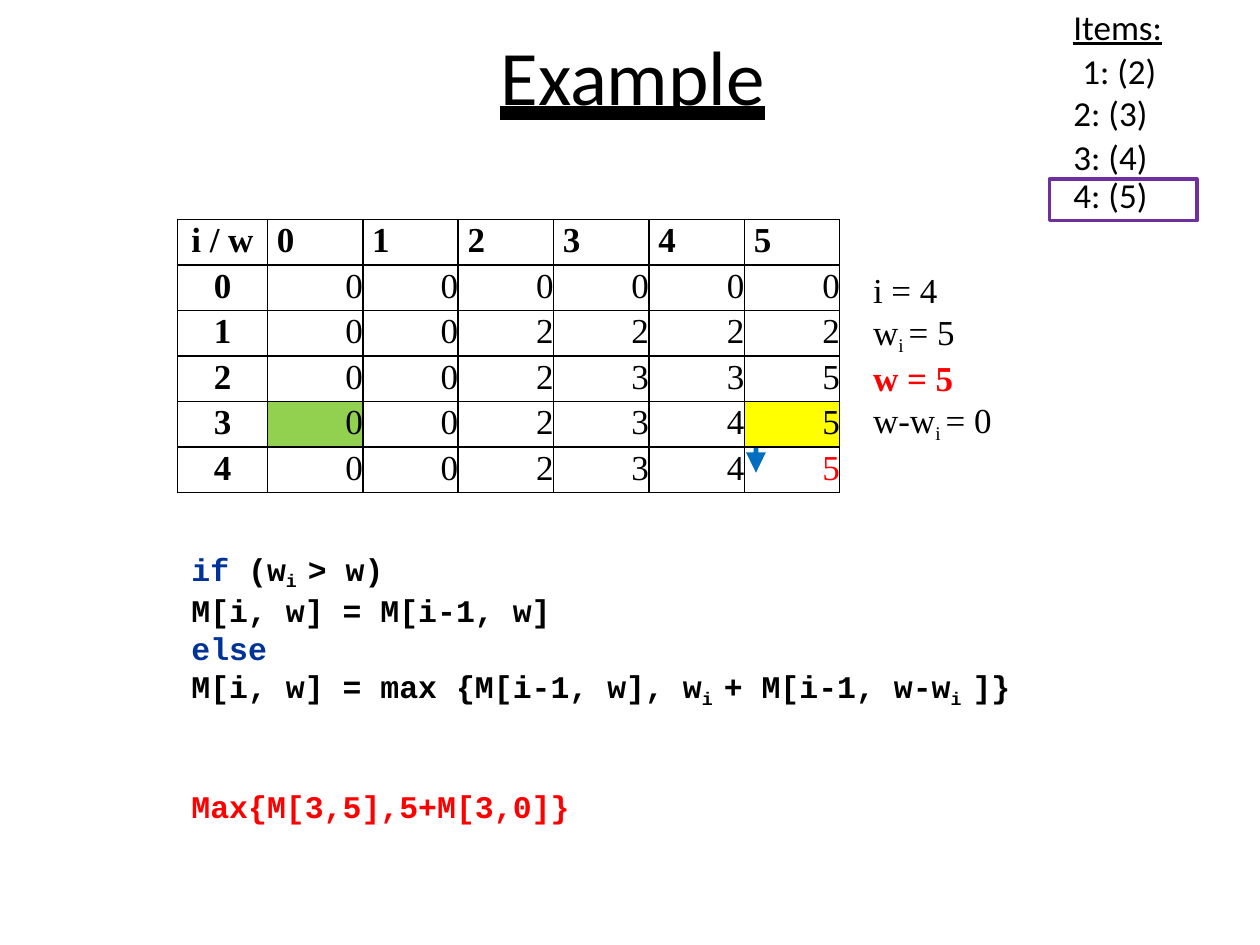
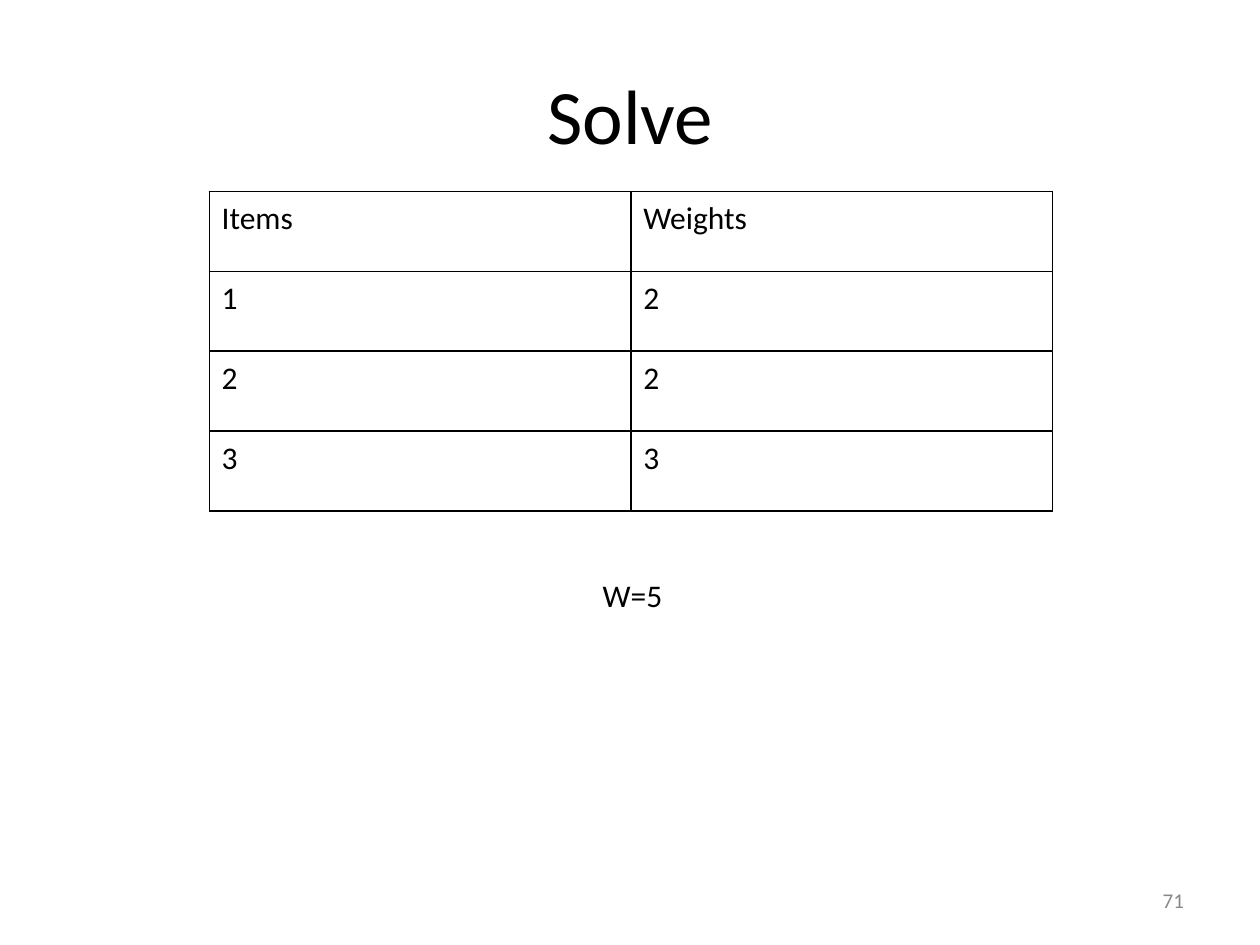
from lxml import etree
from pptx import Presentation
from pptx import util as u
from pptx.dml.color import RGBColor
from pptx.enum import shapes, text
from pptx.oxml.ns import qn

BLACK, RED, KEYWORD = "000000", "FF0000", "003399"
BLUE, PURPLE, GREY = "006FC0", "6F2F9F", "888888"
GREEN, YELLOW = "92D050", "FFFF00"
SANS, SERIF, MONO = "Calibri", "Times New Roman", "Courier New"
TITLE = dict(name=SANS, size=u.Pt(44))
ITEM = dict(name=SANS, size=u.Pt(20))
NOTE = dict(name=SERIF, size=u.Pt(20))
CODE = dict(name=MONO, size=u.Pt(18), bold=True)
BODY = dict(name=SANS, size=u.Pt(18))
CENTER, RIGHT = text.PP_ALIGN.CENTER, text.PP_ALIGN.RIGHT


def rgb(value):
    return RGBColor.from_string(value)


def add_run(p, words, base, color=BLACK, sub=False, **extra):
    r = p.add_run()
    r.text = words
    for name, value in {**base, **extra}.items():
        setattr(r.font, name, value)
    r.font.color.rgb = rgb(color)
    if sub:
        r._r.get_or_add_rPr().set("baseline", "-21000")


def write(tf, paragraphs, base, left=0.0, top=0.06):
    margins = dict(margin_left=left, margin_top=top, margin_right=0, margin_bottom=0)
    for name, value in margins.items():
        setattr(tf, name, u.Cm(value))
    tf.word_wrap = True
    tf.vertical_anchor = text.MSO_ANCHOR.TOP
    for i, (runs, layout) in enumerate(paragraphs):
        p = tf.paragraphs[0] if i == 0 else tf.add_paragraph()
        for name, value in layout.items():
            setattr(p, name, value)
        for words, extra in runs:
            add_run(p, words, base, **extra)


def line(*runs, **layout):
    return [(r, {}) if isinstance(r, str) else r for r in runs], layout


def add_text(s, box, paragraphs, base, left=0.0, top=0.06):
    tb = s.shapes.add_textbox(*map(u.Cm, box))
    write(tb.text_frame, paragraphs, base, left, top)
    return tb


def add_title(s, box, words, left, **extra):
    add_text(s, box, [line((words, extra))], TITLE, left)


def add_borders(cell):
    tc_pr = cell._tc.get_or_add_tcPr()
    for side in ("lnL", "lnR", "lnT", "lnB"):
        ln = etree.SubElement(tc_pr, qn("a:" + side), w=str(u.Pt(1)))
        fill = etree.SubElement(ln, qn("a:solidFill"))
        etree.SubElement(fill, qn("a:srgbClr"), val=BLACK)


def add_grid(s, box, widths, rows, fill_cell):
    tbl = s.shapes.add_table(len(rows), len(widths), *map(u.Cm, box)).table
    for col, width in zip(tbl.columns, widths):
        col.width = u.Cm(width)
    for i, values in enumerate(rows):
        tbl.rows[i].height = u.Cm(box[3] / len(rows))
        for j, value in enumerate(values):
            cell = tbl.cell(i, j)
            add_borders(cell)
            cell.fill.background()
            fill_cell(cell, i, j, value)


def add_weight_table(s, box):
    rows = ["012345", "000000", "002222", "002335", "002345", "002345"]
    heads = ["i / w", *"01234"]
    fills = {(4, 1): GREEN, (4, 6): YELLOW}

    def fill_cell(cell, i, j, value):
        head = i == 0 or j == 0
        layout = dict(line_spacing=u.Pt(23.4))
        if j == 0:
            layout["alignment"] = CENTER
        elif i > 0:
            layout["alignment"] = RIGHT
        color = RED if (i, j) == (5, 6) else BLACK
        run = (value, dict(bold=head, color=color))
        write_cell(cell, line(run, **layout), NOTE, 0.19 if i == 0 and j else 0, 0)
        if (i, j) in fills:
            cell.fill.solid()
            cell.fill.fore_color.rgb = rgb(fills[i, j])

    first = 1.81
    widths = [first] + [(box[2] - first) / 6] * 6
    add_grid(s, box, widths, [[h, *r] for h, r in zip(heads, rows)], fill_cell)


def write_cell(cell, paragraph, base, left, top):
    for side in ("left", "top", "right", "bottom"):
        setattr(cell, "margin_" + side, 0)
    runs, layout = paragraph
    cell.margin_left, cell.margin_top = u.Cm(left), u.Cm(top)
    p = cell.text_frame.paragraphs[0]
    for name, value in layout.items():
        setattr(p, name, value)
    for words, extra in runs:
        add_run(p, words, base, **extra)


def add_down_arrow(s, x, y):
    start, *rest = [(17, 0), (25, 0), (25, 43), (40, 43), (20, 84), (0, 43), (15, 43)]
    fb = s.shapes.build_freeform(*start, scale=u.Cm(0.01))
    fb.add_line_segments(rest, close=True)
    sp = fb.convert_to_shape(u.Cm(x), u.Cm(y))
    sp.shadow.inherit = False
    sp.fill.solid()
    sp.fill.fore_color.rgb = rgb(BLUE)
    sp.line.fill.background()


def add_items(s, x, y):
    fixed = dict(line_spacing=u.Pt(25.2))
    under = ("Items:", dict(underline=True))
    tb = add_text(s, (x + 0.45, y, 1.9, 3.58), [
        line(under, **fixed),
        line("1: (2)", **fixed),
        line("2: (3)"),
        line("3: (4)", space_before=u.Pt(1.2)),
    ], ITEM, 0.03)
    tb.text_frame.paragraphs[1]._p.get_or_add_pPr().set("marL", str(u.Cm(0.18)))
    sp = s.shapes.add_shape(shapes.MSO_SHAPE.RECTANGLE,
                            *map(u.Cm, (x, y + 3.61, 2.97, 0.84)))
    sp.shadow.inherit = False
    sp.fill.background()
    sp.line.color.rgb = rgb(PURPLE)
    sp.line.width = u.Pt(2)
    current = line("4: (5)", line_spacing=u.Pt(20.8), alignment=text.PP_ALIGN.LEFT)
    write(sp.text_frame, [current], ITEM, 0.48, 0)


def add_state(s, box):
    sub_i = ("i ", dict(sub=True, size=u.Pt(19)))
    add_text(s, box, [
        line("i = 4"),
        line("w", sub_i, "= 5"),
        line(("w = 5", dict(color=RED, bold=True))),
        line("w-w", sub_i, "= 0"),
    ], NOTE, 0.1)


def add_code(s, box):
    sub_i = ("i ", dict(sub=True))
    keyword = dict(color=KEYWORD)
    add_text(s, box, [
        line(("if ", keyword), "(w", sub_i, "> w)"),
        line("M[i, w] = M[i-1, w]"),
        line(("else", keyword)),
        line("M[i, w] = max {M[i-1, w], w", sub_i, "+ M[i-1, w-w", sub_i, "]}"),
        line(("Max{M[3,5],5+M[3,0]}", dict(color=RED)), space_before=u.Pt(45)),
    ], CODE, 0.15)


def add_exercise_table(s, box):
    def fill_cell(cell, i, j, value):
        write_cell(cell, line(value), BODY, 0.25, 0.17)

    rows = [("Items", "Weights"), ("1", "2"), ("2", "2"), ("3", "3")]
    add_grid(s, box, [box[2] / 2] * 2, rows, fill_cell)


def example_slide(s):
    add_title(s, (9.96, 0.51, 5.6, 1.93), "Example", 0.13,
              underline=text.MSO_TEXT_UNDERLINE_TYPE.HEAVY_LINE)
    add_state(s, (17.5, 5.36, 2.8, 3.45))
    add_down_arrow(s, 15.04, 8.69)
    add_weight_table(s, (3.58, 4.42, 13.35, 5.51))
    add_items(s, 21.16, 0)
    add_code(s, (3.71, 11.02, 20.27, 5.41))


def solve_slide(s):
    number = line(("71", dict(size=u.Pt(12), color=GREY)), line_spacing=u.Pt(12.4))
    add_text(s, (23.34, 17.96, 0.64, 0.48), [number], BODY, 0.1, 0)
    add_title(s, (11, 1.3, 3.7, 1.93), "Solve", 0.03)
    add_exercise_table(s, (4.22, 3.86, 17, 6.44))
    add_text(s, (12.12, 11.56, 1.4, 0.84), [line("W=5")], BODY, 0.03)


def main():
    prs = Presentation()
    prs.slide_width, prs.slide_height = u.Cm(25.4), u.Cm(19.05)
    for build in (example_slide, solve_slide):
        build(prs.slides.add_slide(prs.slide_layouts[6]))
    prs.save("out.pptx")


if __name__ == "__main__":
    main()
